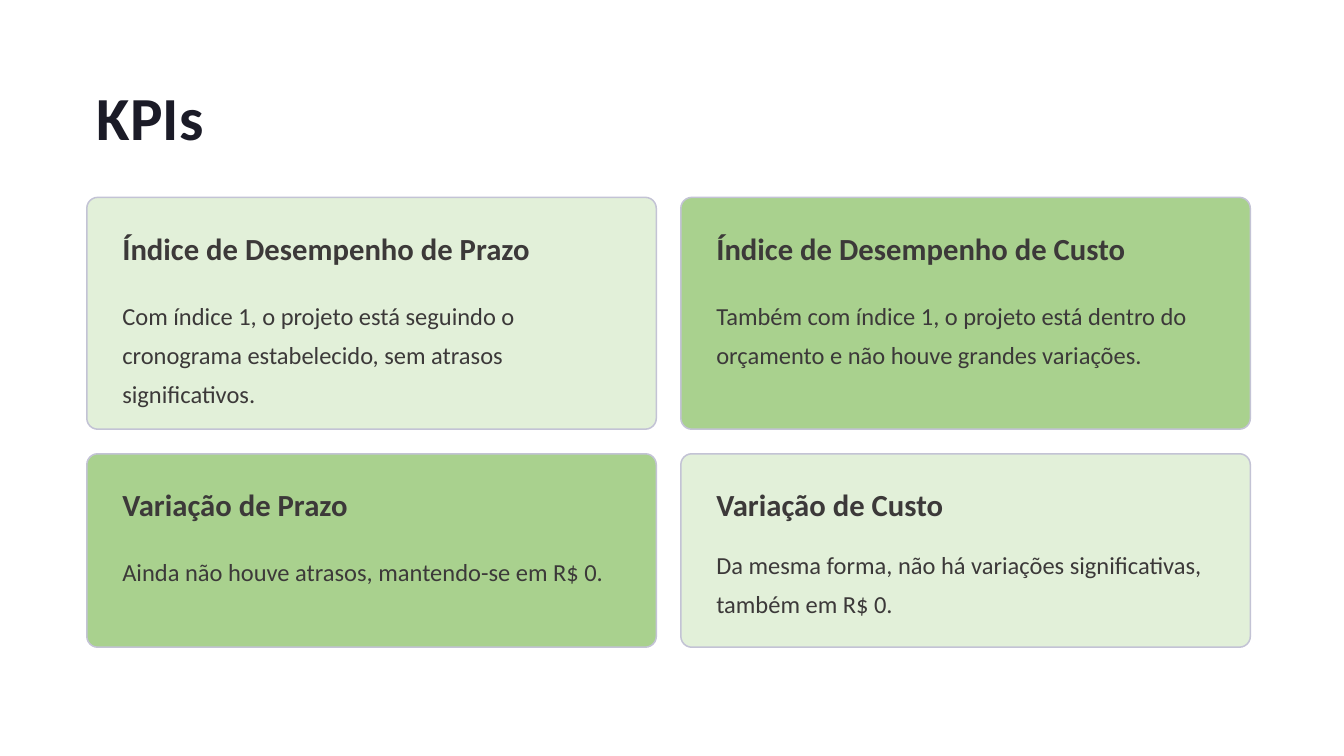
from dataclasses import dataclass

from pptx import Presentation
from pptx.dml.color import RGBColor
from pptx.enum.shapes import MSO_SHAPE
from pptx.enum.text import MSO_ANCHOR, MSO_AUTO_SIZE, PP_ALIGN
from pptx.util import Pt

ROUND = MSO_SHAPE.ROUNDED_RECTANGLE
TOP = MSO_ANCHOR.TOP
LEFT = PP_ALIGN.LEFT
FIXED = MSO_AUTO_SIZE.NONE


@dataclass(frozen=True)
class Theme:
    font: str = "Calibri"
    ink: str = "1B1B27"
    text: str = "3C3939"
    pale: str = "E2F0D9"
    green: str = "A9D18E"
    edge: str = "C3C3D5"
    title: float = 43.7
    head: float = 21.9
    body: float = 17.5
    stroke: float = 1.09
    radius: float = 7.8


class Deck:
    def __init__(self, theme):
        self.theme = theme
        self.prs = Presentation()
        self.prs.slide_width, self.prs.slide_height = Pt(960), Pt(540)
        self.slide = self.prs.slides.add_slide(self.prs.slide_layouts[5])

    def label(self, shape, text, size, lead, color, bold, wrap):
        frame = shape.text_frame
        frame.text = text
        para = frame.paragraphs[0]
        font = para.runs[0].font
        formats = [
            (frame, {"word_wrap": wrap, "auto_size": FIXED, "vertical_anchor": TOP}),
            (para, {"alignment": LEFT, "line_spacing": Pt(lead)}),
            (font, {"name": self.theme.font, "size": Pt(size), "bold": bold}),
            (font.color, {"rgb": RGBColor.from_string(color)}),
        ]
        for target, values in formats:
            for name, value in values.items():
                setattr(target, name, value)

    def title(self, text, x, y, w, h):
        shape = self.slide.shapes.title
        box = {"left": x, "top": y, "width": w, "height": h}
        for name, value in box.items():
            setattr(shape, name, Pt(value))
        self.label(shape, text, self.theme.title, 54.7, self.theme.ink, True, False)

    def panel(self, x, y, w, h, fill):
        shape = self.slide.shapes.add_shape(ROUND, Pt(x), Pt(y), Pt(w), Pt(h))
        shape.adjustments[0] = self.theme.radius / h
        shape.shadow.inherit = False
        shape.fill.solid()
        shape.fill.fore_color.rgb = RGBColor.from_string(fill)
        shape.line.color.rgb = RGBColor.from_string(self.theme.edge)
        shape.line.width = Pt(self.theme.stroke)

    def head(self, text, x, y, w):
        shape = self.slide.shapes.add_textbox(Pt(x), Pt(y), Pt(w), Pt(27.3))
        self.label(shape, text, self.theme.head, 27.3, self.theme.text, True, False)

    def body(self, text, x, y, w, lines):
        shape = self.slide.shapes.add_textbox(Pt(x), Pt(y), Pt(w), Pt(28 * lines))
        self.label(shape, text, self.theme.body, 28, self.theme.text, False, True)


def main():
    theme = Theme()
    deck = Deck(theme)
    left, top, wide, gap, pad = 62, 141, 406.8, 17.5, 18.3
    deck.title("KPIs", left, 51, 628, 55)
    rows = [
        (165.6, [
            ("Índice de Desempenho de Prazo", 325, 63.5, 3,
             "Com índice 1, o projeto está seguindo o cronograma estabelecido, "
             "sem atrasos significativos."),
            ("Índice de Desempenho de Custo", 326, 63.5, 2,
             "Também com índice 1, o projeto está dentro do orçamento e não "
             "houve grandes variações."),
        ]),
        (138.2, [
            ("Variação de Prazo", 179, 63.5, 2,
             "Ainda não houve atrasos, mantendo-se em R$ 0."),
            ("Variação de Custo", 181, 58.3, 2,
             "Da mesma forma, não há variações significativas, também em R$ 0."),
        ]),
    ]
    fills = theme.pale, theme.green
    y = top
    for row, (high, cards) in enumerate(rows):
        for col, (head, span, drop, lines, body) in enumerate(cards):
            x = left + col * (wide + gap)
            deck.panel(x, y, wide, high, fills[(row + col) % 2])
            deck.head(head, x + pad, y + pad, span)
            deck.body(body, x + pad, y + drop, wide - 2 * pad, lines)
        y += high + gap
    deck.prs.save("out.pptx")


if __name__ == "__main__":
    main()
